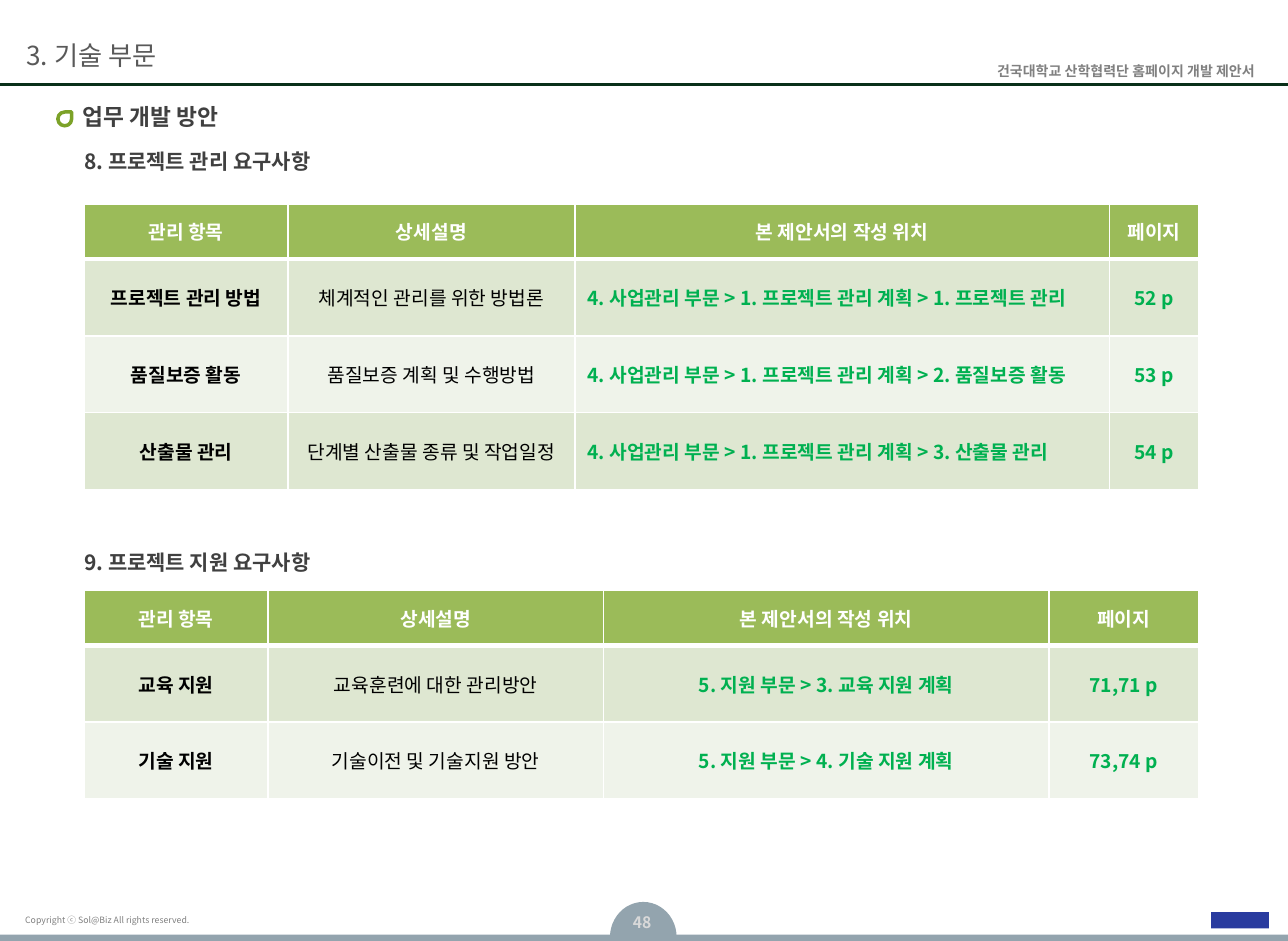
"""Build a proposal slide with two requirement tables."""
import dataclasses

import lxml.etree
import pptx
import pptx.dml.color
import pptx.enum.shapes
import pptx.enum.text
import pptx.oxml.ns
import pptx.util

Inches = pptx.util.Inches
Pt = pptx.util.Pt
Align = pptx.enum.text.PP_ALIGN
Anchor = pptx.enum.text.MSO_ANCHOR
Shape = pptx.enum.shapes.MSO_SHAPE
qn = pptx.oxml.ns.qn


@dataclasses.dataclass(frozen=True)
class Theme:
    """Colours, fonts and type sizes of the slide."""
    font: str = "Noto Sans CJK KR"
    plain: str = "Arial"
    white: str = "FFFFFF"
    black: str = "000000"
    dark: str = "404040"
    mid: str = "595959"
    gray: str = "808080"
    pale: str = "D9D9D9"
    slate: str = "93A4AE"
    rule: str = "093019"
    leaf: str = "7CA228"
    head: str = "9BBB59"
    bands: tuple = ("DEE7D1", "EFF3EA")
    link: str = "00B050"
    logo: str = "293B9F"
    chapter: int = 15
    title: int = 13
    section: int = 12
    cell: int = 11
    page: int = 9
    note: int = 8
    tiny: int = 5


THEME = Theme()
HEADS = ("관리 항목", "상세설명", "본 제안서의 작성 위치", "페이지")
PLAN = "4. 사업관리 부문 > 1. 프로젝트 관리 계획 > "
MANAGE = (
    ("프로젝트 관리 방법", "체계적인 관리를 위한 방법론", PLAN + "1. 프로젝트 관리", "52 p"),
    ("품질보증 활동", "품질보증 계획 및 수행방법", PLAN + "2. 품질보증 활동", "53 p"),
    ("산출물 관리", "단계별 산출물 종류 및 작업일정", PLAN + "3. 산출물 관리", "54 p"),
)
SUPPORT = (
    ("교육 지원", "교육훈련에 대한 관리방안", "5. 지원 부문 > 3. 교육 지원 계획", "71,71 p"),
    ("기술 지원", "기술이전 및 기술지원 방안", "5. 지원 부문 > 4. 기술 지원 계획", "73,74 p"),
)


def rgb(code):
    """Turn a hex code into a colour."""
    return pptx.dml.color.RGBColor.from_string(code)


def write(frame, text, size, color, bold=False, align=Align.LEFT, name=THEME.font):
    """Put one styled paragraph into a text frame."""
    frame.text = text
    para = frame.paragraphs[0]
    para.alignment = align
    font = para.font
    font.size, font.bold, font.name = Pt(size), bold, name
    font.color.rgb = rgb(color)
    props = para._p.pPr.find(qn("a:defRPr"))
    lxml.etree.SubElement(props, qn("a:ea"), typeface=THEME.font)


def pad(frame, x, y):
    """Set the side and top insets of a text frame."""
    frame.margin_left = frame.margin_right = Inches(x)
    frame.margin_top = frame.margin_bottom = Inches(y)


def label(slide, box, text, size, color, inset=(0, 0), anchor=Anchor.TOP, **style):
    """Add a wrapped text box."""
    frame = slide.shapes.add_textbox(*map(Inches, box)).text_frame
    frame.word_wrap = True
    frame.vertical_anchor = anchor
    pad(frame, *inset)
    write(frame, text, size, color, **style)


def block(slide, kind, box, color, line=None):
    """Add a filled shape, outlined only if a line colour is given."""
    shape = slide.shapes.add_shape(kind, *map(Inches, box))
    shape.shadow.inherit = False
    shape.fill.solid()
    shape.fill.fore_color.rgb = rgb(color)
    if line:
        shape.line.color.rgb = rgb(line)
        shape.line.width = Pt(2)
    else:
        shape.line.fill.background()
    return shape


def header(slide, box):
    """Draw the chapter name, the document name and the rule below."""
    x, y, w, h = box
    rule = slide.shapes.add_connector(
        pptx.enum.shapes.MSO_CONNECTOR.STRAIGHT,
        *map(Inches, (x, y + h, x + w, y + h)))
    rule.line.color.rgb = rgb(THEME.rule)
    rule.line.width = Pt(1.5)
    lxml.etree.SubElement(rule._element.spPr, qn("a:effectLst"))
    label(slide, (x + w - 2.77, y + 0.45, 2.6, 0.23), "건국대학교 산학협력단 홈페이지 개발 제안서",
          THEME.note, THEME.gray, (0.09, 0.05), bold=True, align=Align.RIGHT,
          name=THEME.plain)
    label(slide, (x + 0.21, y + 0.22, 6, 0.44), "3. 기술 부문", THEME.chapter,
          THEME.mid, anchor=Anchor.MIDDLE)


def footer(slide, box):
    """Draw the bottom bar, page number, copyright line and logo block."""
    x, y, w, h = box
    tab = block(slide, Shape.CHORD, (x + 4.85, y, 0.53, 0.56), THEME.slate)
    tab.adjustments[0], tab.adjustments[1] = 108.41, 214.66
    block(slide, Shape.RECTANGLE, (x, y + h - 0.05, w, 0.05), THEME.slate)
    label(slide, (x + 0.12, y + 0.06, 2.61, 0.18),
          "Copyright ⓒ Sol@Biz All rights reserved.", THEME.tiny, THEME.gray,
          (0.08, 0.04))
    label(slide, (x + 4.85, y + 0.04, 0.51, 0.37), "48", THEME.page, THEME.pale,
          (0.09, 0.05), bold=True, align=Align.CENTER)
    block(slide, Shape.RECTANGLE, (x + w - 0.61, y + 0.08, 0.46, 0.13), THEME.logo)


def topic(slide, box):
    """Place the slide title with its leaf marker."""
    x, y, w, h = box
    block(slide, Shape.TEAR, (x, y + 0.07, 0.11, 0.11), THEME.white, THEME.leaf)
    title = slide.shapes.title
    title.left, title.top, title.width, title.height = map(
        Inches, (x + 0.2, y, w - 0.2, h))
    frame = title.text_frame
    frame.auto_size = pptx.enum.text.MSO_AUTO_SIZE.NONE
    frame.vertical_anchor = Anchor.TOP
    pad(frame, 0, 0)
    write(frame, "업무 개발 방안", THEME.title, THEME.dark, True)


def edge(cell, row):
    """Give a cell white borders, thicker under the header row."""
    widths = {"L": 1, "R": 1, "T": 3 if row == 1 else 1, "B": 1 if row else 3}
    props = cell._tc.get_or_add_tcPr()
    for side, width in widths.items():
        line = lxml.etree.SubElement(props, qn("a:ln" + side), w=str(Pt(width)))
        fill = lxml.etree.SubElement(line, qn("a:solidFill"))
        lxml.etree.SubElement(fill, qn("a:srgbClr"), val=THEME.white)


def section(slide, box, gap, text, cols, rows, place):
    """Place a heading and, after a gap, its requirement table."""
    x, y, w, h = box
    label(slide, (x, y, 5.07, 0.2), text, THEME.section, THEME.dark, bold=True)
    grid = slide.shapes.add_table(
        len(rows) + 1, len(cols), *map(Inches, (x, y + gap, w, h - gap))).table
    for col, width in zip(grid.columns, cols):
        col.width = Inches(width)
    inks = (THEME.black, THEME.black, THEME.link, THEME.link)
    for r, words in enumerate((HEADS, *rows)):
        grid.rows[r].height = Inches(0.61 if r else 0.44)
        for c, word in enumerate(words):
            cell = grid.cell(r, c)
            cell.vertical_anchor = Anchor.MIDDLE
            edge(cell, r)
            cell.fill.solid()
            cell.fill.fore_color.rgb = rgb(THEME.bands[(r - 1) % 2] if r else THEME.head)
            write(cell.text_frame, word, THEME.cell, inks[c] if r else THEME.white,
                  r == 0 or c != 1, place if r and c == 2 else Align.CENTER)


def main():
    """Build and save the slide."""
    deck = pptx.Presentation()
    deck.slide_width, deck.slide_height = Inches(10.24), Inches(7.48)
    slide = deck.slides.add_slide(deck.slide_layouts[5])
    footer(slide, (0, 7.17, 10.24, 0.31))
    header(slide, (0, 0, 10.24, 0.67))
    topic(slide, (0.46, 0.82, 9.76, 0.22))
    section(slide, (0.67, 1.18, 8.86, 2.7), 0.44, "8. 프로젝트 관리 요구사항",
            (1.62, 2.28, 4.25, 0.71), MANAGE, Align.LEFT)
    section(slide, (0.67, 4.37, 8.86, 1.98), 0.32, "9. 프로젝트 지원 요구사항",
            (1.46, 2.67, 3.54, 1.19), SUPPORT, Align.CENTER)
    deck.save("out.pptx")


if __name__ == "__main__":
    main()
